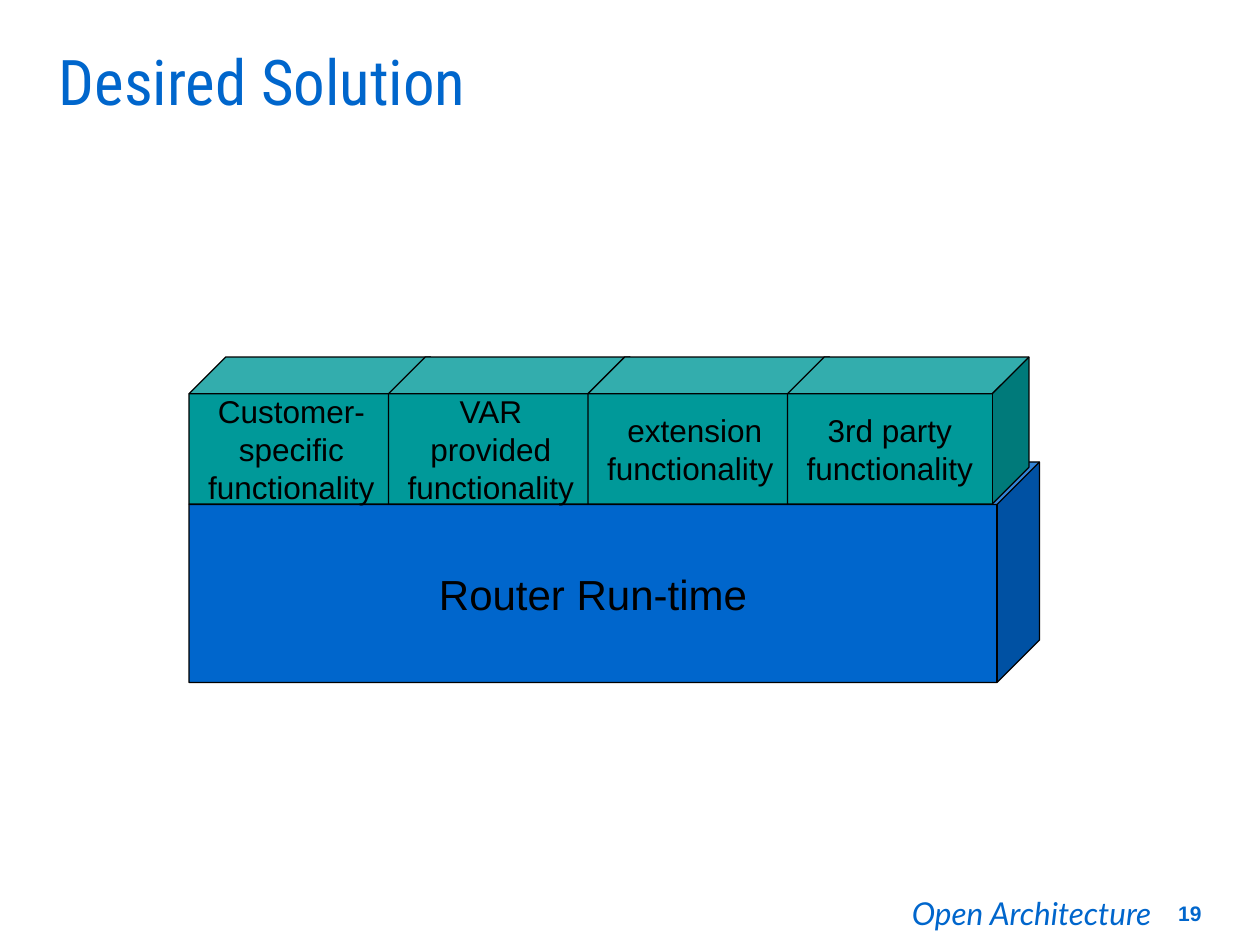
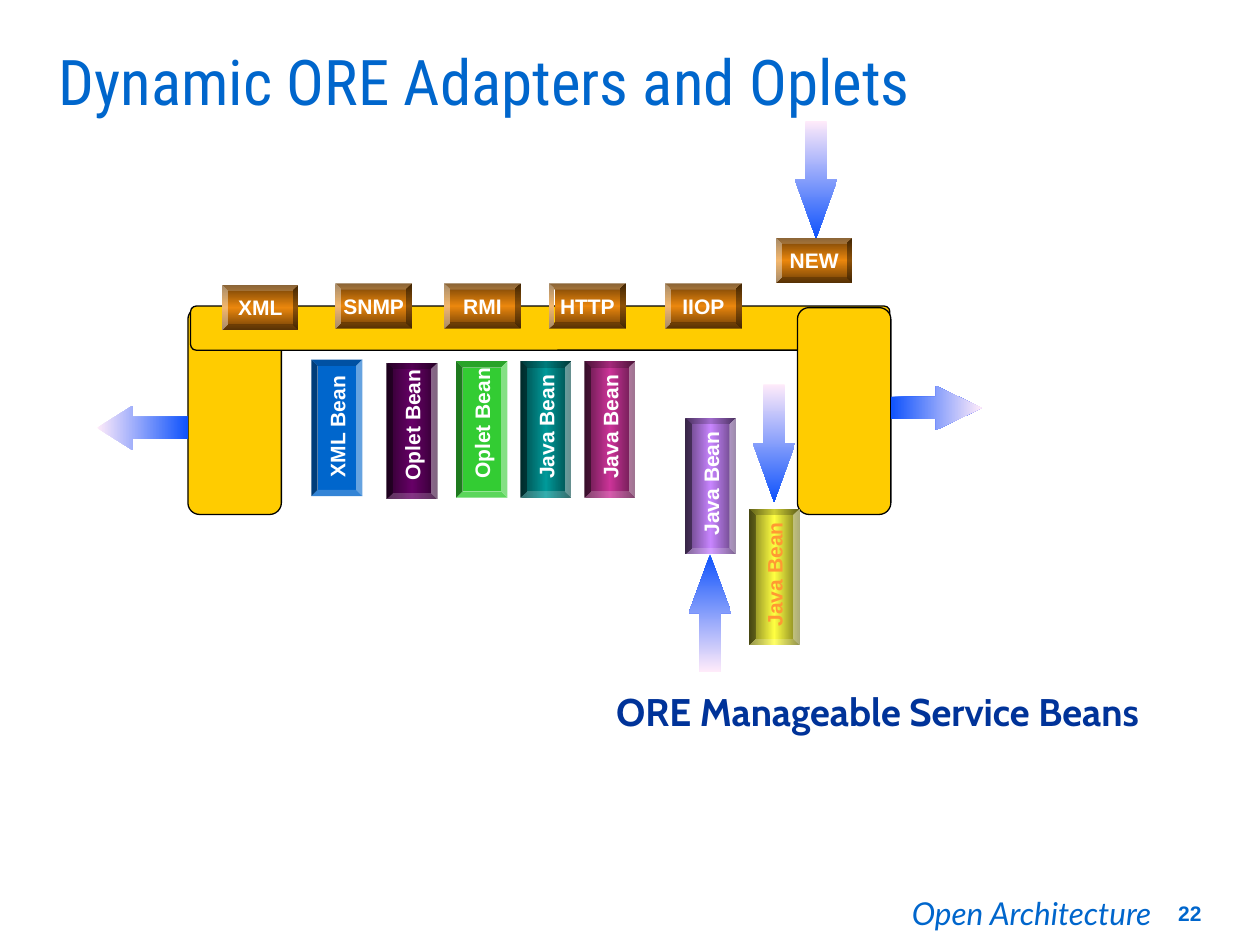
from copy import deepcopy
from dataclasses import dataclass

from pptx import Presentation
from pptx.dml.color import RGBColor
from pptx.enum.shapes import MSO_SHAPE
from pptx.enum.text import MSO_ANCHOR, PP_ALIGN
from pptx.oxml.ns import qn
from pptx.shapes.autoshape import Shape
from pptx.slide import Slide
from pptx.util import Inches, Pt

COLUMNS, ROWS = 120, 90
SLIDE_WIDTH, SLIDE_HEIGHT = Inches(10), Inches(7.5)

COLORS = {
    "blue": "0066CC", "navy": "003399", "black": "000000", "white": "FFFFFF",
    "teal": "009999", "dark teal": "004747", "gold": "FFCC00", "green": "33CC33",
    "orange": "EB870D", "brown": "6D3E06", "amber": "FF9933",
    "plum": "660066", "dark plum": "2F002F", "pink": "CC3399", "dark pink": "5E1847",
    "lilac": "C885FF", "dark lilac": "5D3E76", "yellow": "FFFF41", "olive": "76761E",
    "arrow tip": "0E52FC", "arrow tail": "FFEBFA",
}
ACROSS, DOWN = 0, 270


@dataclass(frozen=True)
class Area:
    """A rectangle in grid columns and rows."""
    column: float
    row: float
    columns: float
    rows: float

    def lengths(self) -> tuple[int, int, int, int]:
        across, down = SLIDE_WIDTH / COLUMNS, SLIDE_HEIGHT / ROWS
        return (round(self.column * across), round(self.row * down),
                round(self.columns * across), round(self.rows * down))


@dataclass(frozen=True)
class Adapter:
    label: str
    column: float
    row: float = 27


@dataclass(frozen=True)
class Bean:
    label: str
    column: float
    row: float
    fills: tuple[str, ...]
    color: str = "white"


@dataclass(frozen=True)
class Arrow:
    kind: MSO_SHAPE
    area: Area
    fills: tuple[str, str]
    angle: int
    head: float


TAIL_FIRST, TIP_FIRST = ("arrow tail", "arrow tip"), ("arrow tip", "arrow tail")
MODULES = ("Customer-specific functionality", "VAR provided functionality",
           " extension functionality", "3rd party functionality")
FRAME = (Area(17.9, 29.3, 8.9, 19.7), Area(18.15, 29.15, 66.6, 4.2),
         Area(75.95, 29.3, 8.9, 19.7))
ADAPTERS = (Adapter("XML", 21.15, 27.15), Adapter("SNMP", 31.95), Adapter("RMI", 42.3),
            Adapter("HTTP", 52.3), Adapter("IIOP", 63.35), Adapter("NEW", 73.9, 22.65))
BEANS = (
    Bean("XML Bean", 29.65, 34.25, ("blue",)),
    Bean("Oplet Bean", 36.8, 34.55, ("dark plum", "plum", "dark plum")),
    Bean("Oplet Bean", 43.45, 34.4, ("green",)),
    Bean("Java Bean", 49.55, 34.4, ("dark teal", "teal", "dark teal")),
    Bean("Java Bean", 55.65, 34.4, ("dark pink", "pink", "dark pink")),
    Bean("Java Bean", 65.25, 39.8, ("dark lilac", "lilac", "dark lilac")),
    Bean("Java Bean", 71.3, 48.45, ("olive", "yellow", "olive"), "amber"),
)
ARROWS = (
    Arrow(MSO_SHAPE.DOWN_ARROW, Area(75.7, 11.5, 4.05, 11.2), TAIL_FIRST, DOWN, 1.38),
    Arrow(MSO_SHAPE.DOWN_ARROW, Area(71.7, 36.6, 4.05, 11.2), TAIL_FIRST, DOWN, 1.38),
    Arrow(MSO_SHAPE.UP_ARROW, Area(65.6, 52.8, 4.05, 11.2), TIP_FIRST, DOWN, 1.38),
    Arrow(MSO_SHAPE.RIGHT_ARROW, Area(84.85, 36.75, 8.65, 4.2), TIP_FIRST, ACROSS, 1.04),
    Arrow(MSO_SHAPE.LEFT_ARROW, Area(9.25, 38.65, 8.65, 4.2), TAIL_FIRST, ACROSS, 0.8),
)


def rgb(name: str) -> RGBColor:
    return RGBColor.from_string(COLORS[name])


def paint(shape: Shape, fills: tuple[str, ...], angle: int) -> None:
    """Fill with one solid colour, or with evenly spaced gradient stops."""
    if len(fills) == 1:
        shape.fill.solid()
        shape.fill.fore_color.rgb = rgb(fills[0])
        return
    shape.fill.gradient()
    shape.fill.gradient_angle = angle
    stops = shape._element.spPr.find(qn("a:gradFill")).find(qn("a:gsLst"))
    while len(stops) < len(fills):
        stops.append(deepcopy(stops[0]))
    for index, (stop, name) in enumerate(zip(shape.fill.gradient_stops, fills)):
        stop.position = index / (len(fills) - 1)
        stop.color.rgb = rgb(name)


def add_block(page: Slide, kind: MSO_SHAPE, area: Area, fills: tuple[str, ...], *,
              angle: int = ACROSS, adjustments: tuple[float, ...] = (0.125,),
              outlined: bool = False) -> Shape:
    shape = page.shapes.add_shape(kind, *area.lengths())
    shape.shadow.inherit = False
    for index, value in enumerate(adjustments):
        shape.adjustments[index] = value
    paint(shape, fills, angle)
    if outlined:
        shape.line.color.rgb = rgb("black")
        shape.line.width = Pt(0.75)
    else:
        shape.line.fill.background()
    return shape


def write(shape: Shape, text: str, *, size: float, color: str, font: str = "Arial",
          bold: bool = False, italic: bool = False, align: PP_ALIGN = PP_ALIGN.CENTER,
          anchor: MSO_ANCHOR = MSO_ANCHOR.MIDDLE, wrap: bool = False,
          insets: tuple[float, float, float, float] = (0.1, 0.05, 0.1, 0.05)) -> None:
    """Set the text; insets are left, top, right and bottom in inches."""
    frame = shape.text_frame
    frame.word_wrap = wrap
    frame.vertical_anchor = anchor
    (frame.margin_left, frame.margin_top,
     frame.margin_right, frame.margin_bottom) = map(Inches, insets)
    para = frame.paragraphs[0]
    para.alignment = align
    span = para.add_run()
    span.text = text
    span.font.name, span.font.size = font, Pt(size)
    span.font.bold, span.font.italic = bold, italic
    span.font.color.rgb = rgb(color)


def add_label(page: Slide, area: Area, text: str, **style) -> None:
    write(page.shapes.add_textbox(*area.lengths()), text, **style)


def add_page(deck: Presentation, title: str, number: int) -> Slide:
    """Add a blank slide with the shared title and footer."""
    page = deck.slides.add_slide(deck.slide_layouts[6])
    add_label(page, Area(85.1, 84.5, 26.3, 4.8), "Open Architecture",
              size=18, color="blue", font="Lato", italic=True)
    add_label(page, Area(110, 85, 6, 4), str(number), size=12, color="blue", bold=True,
              align=PP_ALIGN.RIGHT, insets=(0.1, 0.05, 0.13, 0.05))
    add_label(page, Area(5, 4, 102, 8), title, size=36, color="blue",
              font="Roboto Condensed", align=PP_ALIGN.LEFT, anchor=MSO_ANCHOR.TOP,
              wrap=True, insets=(0.05, 0, 0.05, 0))
    return page


def add_cube(page: Slide, area: Area, text: str, fill: str, depth: float, size: float) -> None:
    cube = add_block(page, MSO_SHAPE.CUBE, area, (fill,), adjustments=(depth,), outlined=True)
    write(cube, text, size=size, color="black", wrap=True, insets=(0.09, 0.05, 0.09, 0.05))


def add_adapter(page: Slide, adapter: Adapter) -> None:
    block = add_block(page, MSO_SHAPE.BEVEL, Area(adapter.column, adapter.row, 7.3, 4.3),
                      ("brown", "orange", "brown"), angle=DOWN)
    write(block, adapter.label, size=12, color="white", bold=True)


def add_bean(page: Slide, bean: Bean) -> None:
    """Add an upright block whose label reads from bottom to top."""
    block = add_block(page, MSO_SHAPE.BEVEL, Area(bean.column, bean.row, 4.87, 13), bean.fills)
    block.rotation = 180
    write(block, bean.label, size=12, color=bean.color, bold=True,
          insets=(0.05, 0.1, 0.05, 0.1))
    block.text_frame._txBody.bodyPr.set("vert", "eaVert")


def build_solution(deck: Presentation) -> None:
    page = add_page(deck, "Desired Solution", 19)
    add_cube(page, Area(18, 44, 81, 21), "Router Run-time", "blue", 0.193, 24)
    for index, text in enumerate(MODULES):
        add_cube(page, Area(18 + 19 * index, 34, 23, 14), text, "teal", 0.25, 18)


def build_adapters(deck: Presentation) -> None:
    page = add_page(deck, "Dynamic ORE Adapters and Oplets", 22)
    for area in FRAME:
        add_block(page, MSO_SHAPE.ROUNDED_RECTANGLE, area, ("gold",), outlined=True)
    for arrow in ARROWS:
        add_block(page, arrow.kind, arrow.area, arrow.fills, angle=arrow.angle,
                  adjustments=(0.5, arrow.head))
    for adapter in ADAPTERS:
        add_adapter(page, adapter)
    for bean in BEANS:
        add_bean(page, bean)
    add_label(page, Area(57.5, 64.9, 59.4, 5.6), "ORE Manageable Service Beans", size=22,
              color="navy", font="Cabin", bold=True, align=PP_ALIGN.LEFT,
              anchor=MSO_ANCHOR.TOP, wrap=True)


def main() -> None:
    deck = Presentation()
    deck.slide_width, deck.slide_height = SLIDE_WIDTH, SLIDE_HEIGHT
    build_solution(deck)
    build_adapters(deck)
    deck.save("out.pptx")


if __name__ == "__main__":
    main()
